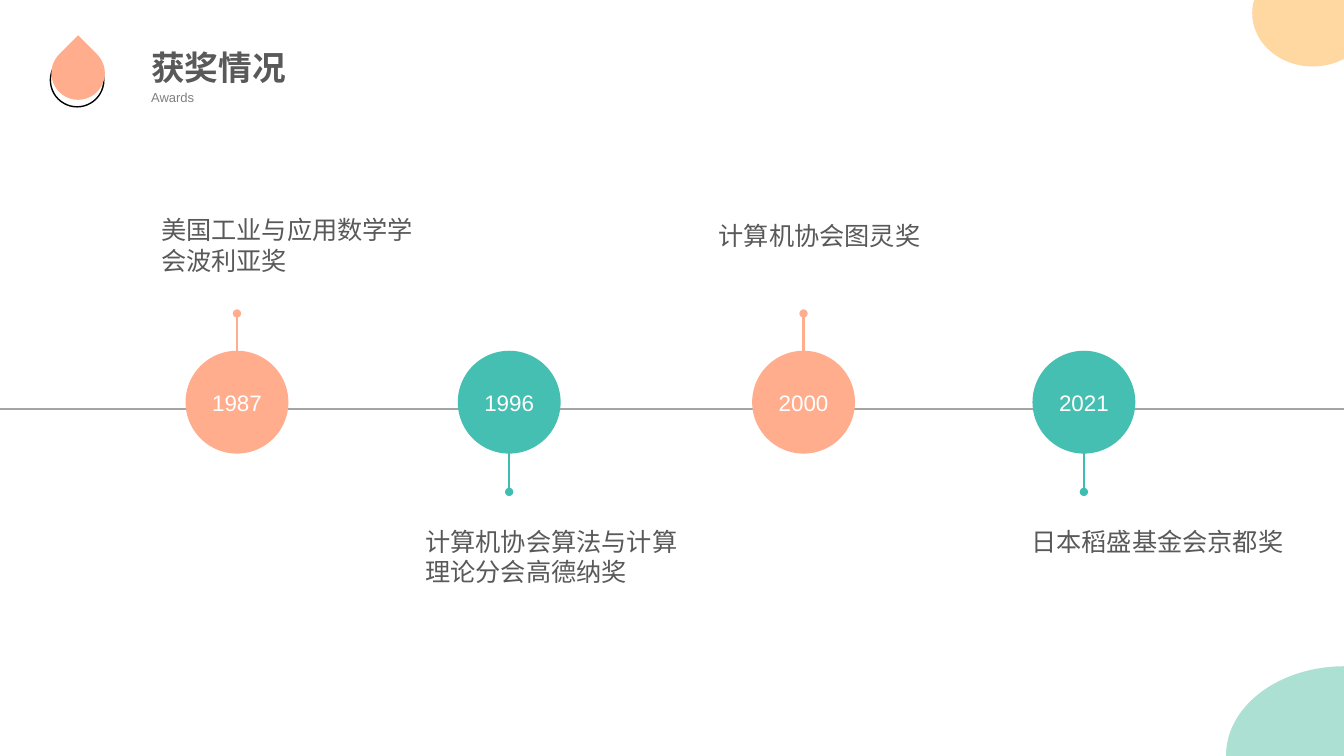
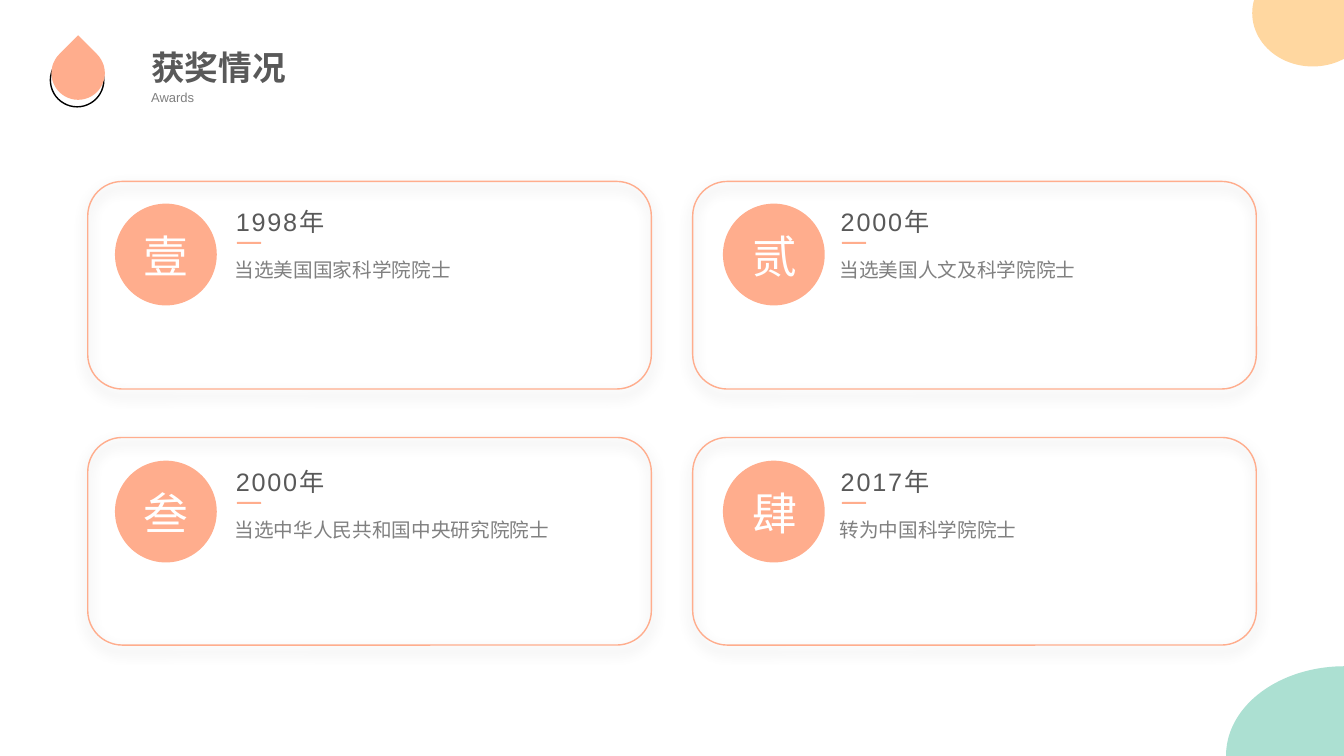
from lxml import etree
from pptx import Presentation
from pptx.dml.color import RGBColor
from pptx.enum.shapes import MSO_CONNECTOR, MSO_SHAPE
from pptx.enum.text import MSO_ANCHOR, MSO_AUTO_SIZE, PP_ALIGN
from pptx.oxml import parse_xml
from pptx.oxml.ns import qn
from pptx.util import Inches, Pt

OVAL = MSO_SHAPE.OVAL
DROP = MSO_SHAPE.TEAR
ROUND = MSO_SHAPE.ROUNDED_RECTANGLE
LINE = MSO_CONNECTOR.STRAIGHT
GROW = MSO_AUTO_SIZE.SHAPE_TO_FIT_TEXT
MIDDLE = MSO_ANCHOR.MIDDLE
CENTER = PP_ALIGN.CENTER

PEACH, TEAL, STEM = "FFAD8D", "45BFB1", "3EBEB1"
SAND, MINT = "FFD7A0", "ACE0D2"
DARK, GRAY, AXIS = "595959", "808080", "A5A5A5"
BLACK, WHITE = "000000", "FFFFFF"

FREE = {"auto_size": GROW, "word_wrap": True}
TIGHT = {"auto_size": GROW, "word_wrap": False,
         "margin_left": Inches(0.09), "margin_right": Inches(0.09),
         "margin_top": Inches(0.04), "margin_bottom": Inches(0.04)}
MID = {"vertical_anchor": MIDDLE, "word_wrap": True}

SHADE = parse_xml(
    '<a:effectLst xmlns:a="http://schemas.openxmlformats.org/drawingml/2006/main">'
    '<a:outerShdw blurRad="127000" dist="50800" dir="5400000" rotWithShape="0">'
    '<a:srgbClr val="000000"><a:alpha val="30000"/></a:srgbClr>'
    '</a:outerShdw></a:effectLst>')


def draw(shapes, kind, box, fill=None, line=None):
    shape = shapes.add_shape(kind, *map(Inches, box))
    shape.shadow.inherit = False
    if fill:
        shape.fill.solid()
        shape.fill.fore_color.rgb = RGBColor.from_string(fill)
    else:
        shape.fill.background()
    if line:
        shape.line.color.rgb = RGBColor.from_string(line)
        shape.line.width = Pt(1)
    else:
        shape.line.fill.background()
    return shape


def write(shape, text, size, color, frame, bold=False, **layout):
    for key, value in frame.items():
        setattr(shape.text_frame, key, value)
    para = shape.text_frame.paragraphs[0]
    for key, value in layout.items():
        setattr(para, key, value)
    run = para.add_run()
    run.text = text
    font = {"name": "Arial", "size": Pt(size), "bold": bold}
    for key, value in font.items():
        setattr(run.font, key, value)
    run.font.color.rgb = RGBColor.from_string(color)
    return run


deck = Presentation()
deck.slide_width, deck.slide_height = Inches(13.33), Inches(7.5)
blank = deck.slide_layouts[6]

pages = [deck.slides.add_slide(blank).shapes for _ in range(2)]
for page in pages:
    draw(page, OVAL, (12.42, -0.4, 1.2, 1.06), SAND)
    draw(page, DROP, (12.16, 6.61, 2.35, 1.77), MINT)
    mark = page.add_group_shape().shapes
    for left, top, fill, line in [(0.5, 0.53, None, BLACK), (0.51, 0.46, PEACH, None)]:
        draw(mark, DROP, (left, top, 0.53, 0.53), fill, line).rotation = 315
    for box, text, size, color, bold in [
        ((1.41, 0.42, 1.52, 0.49), "获奖情况", 24, DARK, True),
        ((1.41, 0.85, 0.61, 0.24), "Awards", 9.3, GRAY, False),
    ]:
        write(page.add_textbox(*map(Inches, box)), text, size, color, TIGHT, bold)

time, grid = pages

prizes = [
    ("1987", 2.35, PEACH, (1.5, 2.08, 2.9, 0.71), "美国工业与应用数学学会波利亚奖"),
    ("1996", 5.05, TEAL, (4.12, 5.17, 2.9, 0.71), "计算机协会算法与计算理论分会高德纳奖"),
    ("2000", 7.97, PEACH, (7.03, 2.14, 2.9, 0.4), "计算机协会图灵奖"),
    ("2021", 10.75, TEAL, (10.13, 5.17, 2.9, 0.4), "日本稻盛基金会京都奖"),
]
lines = [(0, 4.06, 13.33, 4.06, AXIS, False)]
for year, mid, color, box, text in prizes:
    if color == PEACH:
        lines.append((mid, 3.11, mid, 4.11, PEACH, True))
    else:
        lines.append((mid, 4.03, mid, 4.88, STEM, True))

for *ends, color, dots in lines:
    stem = time.add_connector(LINE, *map(Inches, ends))
    stem.line.color.rgb = RGBColor.from_string(color)
    stem.line.width = Pt(1.5)
    if dots:
        for tag in ("a:headEnd", "a:tailEnd"):
            etree.SubElement(stem.line._get_or_add_ln(), qn(tag), type="oval")
    etree.SubElement(stem._element.spPr, qn("a:effectLst"))

for year, mid, color, box, text in prizes:
    disc = draw(time, OVAL, (mid - 0.51, 3.48, 1.02, 1.02), color)
    write(disc, year, 16, WHITE, MID, alignment=CENTER)
    write(time.add_textbox(*map(Inches, box)), text, 18, DARK, FREE)

honors = [
    ("壹", "1998年", "当选美国国家科学院院士"),
    ("贰", "2000年", "当选美国人文及科学院院士"),
    ("叁", "2000年", "当选中华人民共和国中央研究院院士"),
    ("肆", "2017年", "转为中国科学院院士"),
]
for index, (sign, year, text) in enumerate(honors):
    row, col = divmod(index, 2)
    left, top, drop = 6 * col, 2.54 * row, 2.58 * row
    card = draw(grid, ROUND, (0.87 + left, 1.8 + top, 5.59, 2.06), None, PEACH)
    props = card._element.spPr
    props.replace(props.find(qn("a:effectLst")), parse_xml(etree.tostring(SHADE)))
    draw(grid, OVAL, (1.14 + 6.03 * col, 2.02 + 2.55 * row, 1.01, 1.01), PEACH)

    box = (2.23 + left, 2.44 + drop, 3.9, 0.38)
    write(grid.add_textbox(*map(Inches, box)), text, 14, GRAY, FREE, line_spacing=1.3)
    box = (2.24 + left, 2 + drop, 2.77, 0.4)
    run = write(grid.add_textbox(*map(Inches, box)), year, 18, DARK, FREE)
    run.font._element.set("spc", "130")

    dash = draw(grid, ROUND, (2.35 + left, 2.4 + drop, 0.24, 0.02), PEACH)
    dash.adjustments[0] = 0.26
    box = (1.33 + 6.04 * col, 2.23 + 2.55 * row, 0.62, 0.63)
    write(grid.add_textbox(*map(Inches, box)), sign, 32, WHITE, TIGHT)

deck.save("out.pptx")
